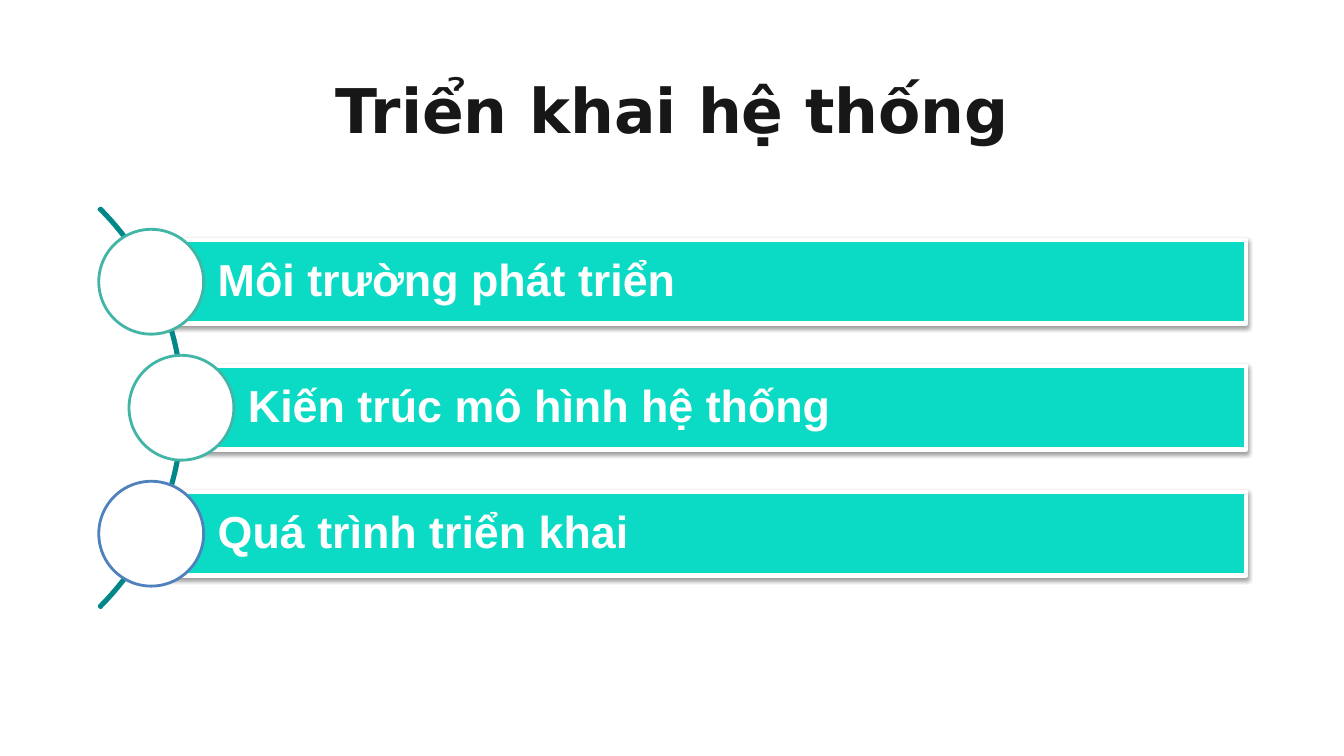
from lxml import etree
from pptx import Presentation
from pptx.dml.color import RGBColor
from pptx.enum.shapes import MSO_SHAPE
from pptx.enum.text import MSO_ANCHOR, PP_ALIGN
from pptx.oxml.ns import qn
from pptx.util import Inches, Pt

ARC, BAR, CIRCLE = MSO_SHAPE.BLOCK_ARC, MSO_SHAPE.RECTANGLE, MSO_SHAPE.OVAL
MIDDLE = MSO_ANCHOR.MIDDLE
LEFT, CENTER = PP_ALIGN.LEFT, PP_ALIGN.CENTER

WHITE = RGBColor(0xFF, 0xFF, 0xFF)
INK = RGBColor(0x18, 0x17, 0x17)
TURQUOISE = RGBColor(0x0B, 0xDA, 0xC5)
TEAL = RGBColor(0x01, 0x87, 0x88)
GREEN = RGBColor(0x42, 0xB5, 0xA6)
BLUE = RGBColor(0x4F, 0x81, 0xBD)

BAR_RIGHT, BAR_HEIGHT = 12.36, 0.83
FIRST_TOP, ROW_STEP = 2.38, 1.25
DIAMETER = 1.04
TOPICS = [
    ("Môi trường phát triển", 1.5, GREEN),
    ("Kiến trúc mô hình hệ thống", 1.8, GREEN),
    ("Quá trình triển khai", 1.5, BLUE),
]


def add_text(frame, text, font_name, size, color, align):
    frame.word_wrap = True
    frame.vertical_anchor = MIDDLE
    para = frame.paragraphs[0]
    para.alignment = align
    para.line_spacing = 0.9
    span = para.add_run()
    span.text = text
    span.font.name = font_name
    span.font.size = Pt(size)
    span.font.bold = True
    span.font.color.rgb = color


def add_outlined(group, kind, left, top, width, height, fill, line, weight):
    shape = group.shapes.add_shape(
        kind, Inches(left), Inches(top), Inches(width), Inches(height))
    if fill is None:
        shape.fill.background()
    else:
        shape.fill.solid()
        shape.fill.fore_color.rgb = fill
    shape.line.color.rgb = line
    shape.line.width = Pt(weight)
    shape.shadow.inherit = False
    return shape


def add_drop_shadow(shape):
    effects = shape._element.spPr.find(qn("a:effectLst"))
    shadow = etree.SubElement(
        effects, qn("a:outerShdw"), blurRad=str(Pt(3.1)), dist=str(Pt(1.6)),
        dir="5400000", rotWithShape="0")
    color = etree.SubElement(shadow, qn("a:srgbClr"), val="000000")
    etree.SubElement(color, qn("a:alpha"), val="38000")


def add_title(page, text):
    title = page.shapes.title
    title.left, title.top = Inches(0.92), Inches(0.4)
    title.width, title.height = Inches(11.5), Inches(1.45)
    add_text(title.text_frame, text, "DejaVu Sans", 44, INK, CENTER)


def add_arc(group):
    arc = add_outlined(group, ARC, -3.79, 1.24, 5.61, 5.61, None, TEAL, 2)
    for index, value in enumerate((189, 27, 0.004)):
        arc.adjustments[index] = value


def add_topic(group, text, left, top, ring):
    bar = add_outlined(group, BAR, left, top, BAR_RIGHT - left, BAR_HEIGHT,
                       TURQUOISE, WHITE, 3)
    add_drop_shadow(bar)
    frame = bar.text_frame
    frame.margin_left = Inches(0.66)
    frame.margin_top = frame.margin_right = frame.margin_bottom = Inches(0.09)
    add_text(frame, text, "Arial", 32, WHITE, LEFT)
    add_outlined(group, CIRCLE, left - DIAMETER / 2,
                 top + (BAR_HEIGHT - DIAMETER) / 2, DIAMETER, DIAMETER,
                 WHITE, ring, 2)


def main():
    deck = Presentation()
    deck.slide_width, deck.slide_height = Inches(13.33), Inches(7.5)
    page = deck.slides.add_slide(deck.slide_layouts[5])
    add_title(page, "Triển khai hệ thống")
    diagram = page.shapes.add_group_shape()
    add_arc(diagram)
    for row, (text, left, ring) in enumerate(TOPICS):
        add_topic(diagram, text, left, FIRST_TOP + row * ROW_STEP, ring)
    deck.save("out.pptx")


if __name__ == "__main__":
    main()
